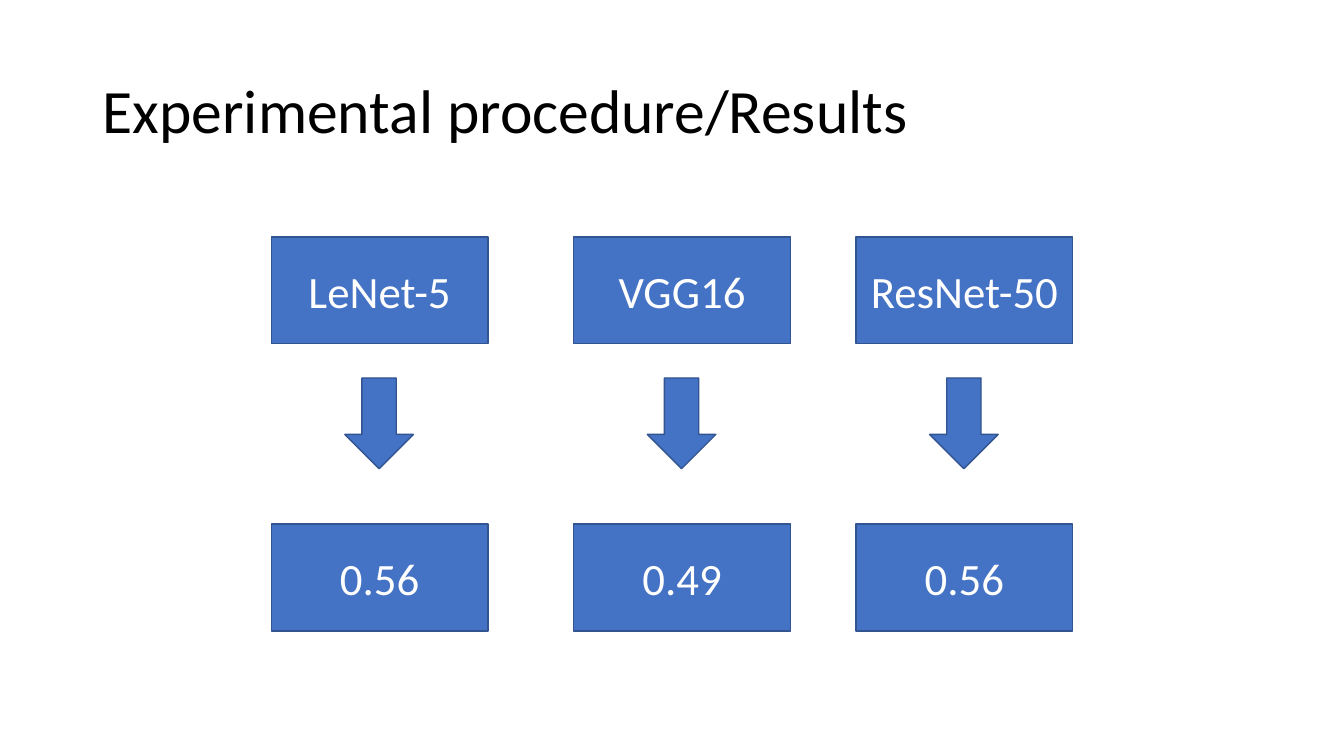
from dataclasses import dataclass

from pptx import Presentation
from pptx import util as u
from pptx.dml.color import RGBColor
from pptx.enum import shapes, text

TITLE = "Experimental procedure/Results"
RESULTS = [("LeNet-5", "0.56"), ("VGG16", "0.49"), ("ResNet-50", "0.56")]

# Lengths in px, 100 to the inch
PX = u.Inches(1) // 100
PAGE = (1333, 750)
TITLE_BOX = (92, 40, 1150, 145)
COLUMN_LEFTS = (269, 569, 849)
BOX_SIZE = (215, 106)
ARROW_SIZE = (68, 90)
MODEL_TOP, ARROW_TOP, SCORE_TOP = 235, 375, 520


@dataclass(frozen=True)
class Theme:
    font: str = "Calibri"
    ink: str = "000000"
    fill: str = "4472C4"
    line: str = "325491"
    label: str = "FFFFFF"
    title_size: int = 44
    label_size: int = 32
    line_width: int = 1


THEME = Theme()


def emu(*lengths):
    return [length * PX for length in lengths]


def write(shape, words, size, color, align):
    frame = shape.text_frame
    frame.text = words
    frame.word_wrap = True
    frame.vertical_anchor = text.MSO_ANCHOR.MIDDLE
    para = frame.paragraphs[0]
    para.alignment = align
    span = para.runs[0]
    for name, value in {"name": THEME.font, "size": u.Pt(size), "bold": False}.items():
        setattr(span.font, name, value)
    span.font.color.rgb = RGBColor.from_string(color)
    return para


def add_block(parent, kind, left, top, size):
    shape = parent.add_shape(kind, *emu(left, top, *size))
    shape.shadow.inherit = False
    shape.fill.solid()
    shape.fill.fore_color.rgb = RGBColor.from_string(THEME.fill)
    shape.line.color.rgb = RGBColor.from_string(THEME.line)
    shape.line.width = u.Pt(THEME.line_width)
    return shape


def add_box_row(page, labels, top):
    row = page.shapes.add_group_shape()
    for left, label in zip(COLUMN_LEFTS, labels):
        box = add_block(row.shapes, shapes.MSO_SHAPE.RECTANGLE, left, top, BOX_SIZE)
        write(box, label, THEME.label_size, THEME.label, text.PP_ALIGN.CENTER)


def add_arrows(page):
    inset = (BOX_SIZE[0] - ARROW_SIZE[0]) // 2
    for left in COLUMN_LEFTS:
        add_block(page.shapes, shapes.MSO_SHAPE.DOWN_ARROW, left + inset, ARROW_TOP, ARROW_SIZE)


def add_title(page):
    title = page.shapes.title
    title.left, title.top, title.width, title.height = emu(*TITLE_BOX)
    para = write(title, TITLE, THEME.title_size, THEME.ink, text.PP_ALIGN.LEFT)
    para.line_spacing = 0.9


def main():
    deck = Presentation()
    deck.slide_width, deck.slide_height = emu(*PAGE)
    page = deck.slides.add_slide(deck.slide_layouts.get_by_name("Title Only"))
    models, scores = zip(*RESULTS)
    add_title(page)
    add_box_row(page, models, MODEL_TOP)
    add_arrows(page)
    add_box_row(page, scores, SCORE_TOP)
    deck.save("out.pptx")


if __name__ == "__main__":
    main()
